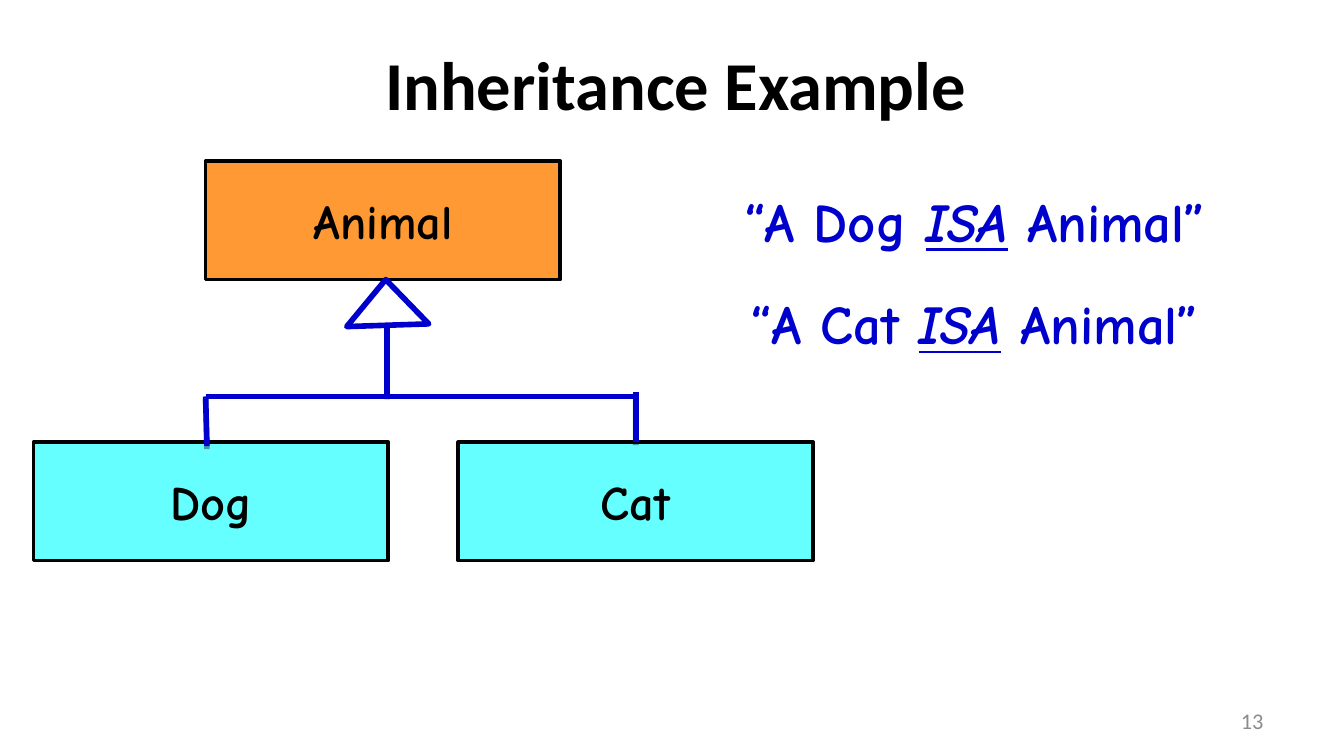
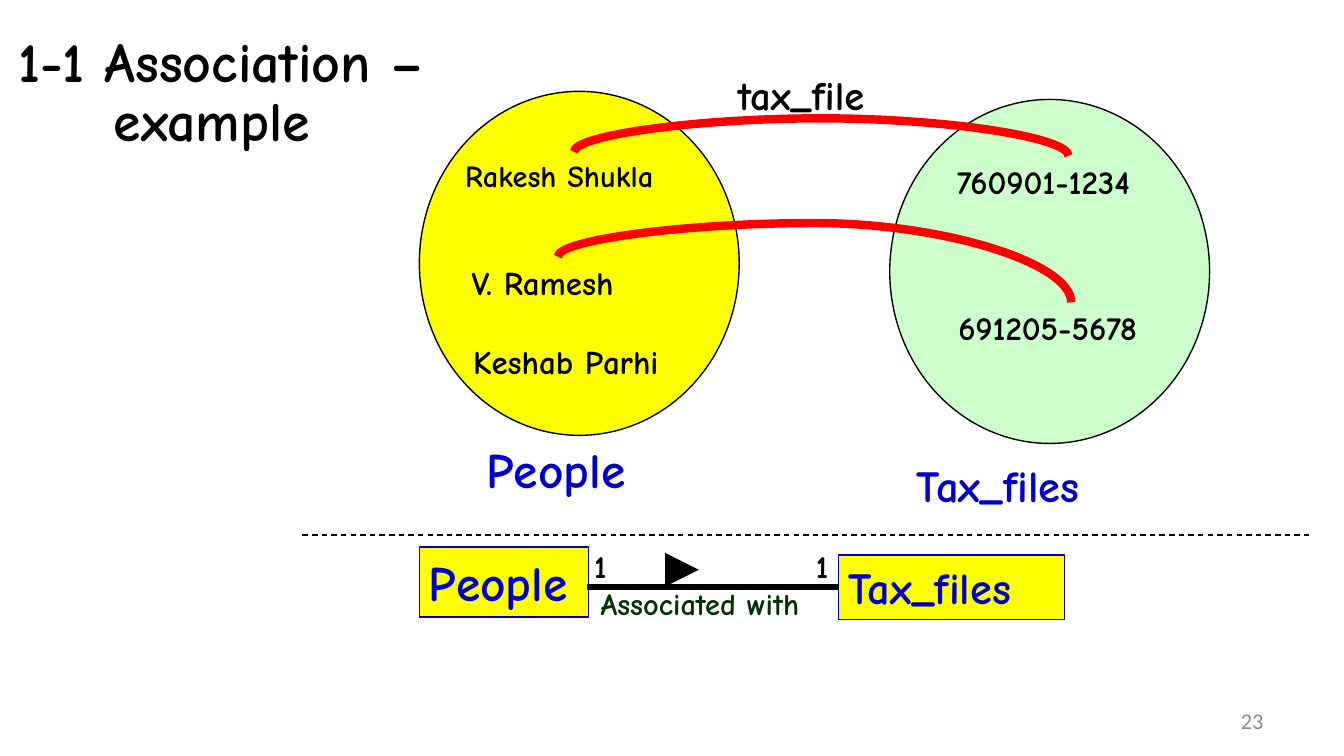
"""Build two class-modelling slides: inheritance and one-to-one association."""
import dataclasses
from typing import Any, Optional

import lxml.etree
import pptx
import pptx.dml.color
import pptx.enum.dml
import pptx.enum.shapes
import pptx.enum.text
import pptx.oxml.ns
import pptx.util

PX = 9144
SLIDE_WIDTH = 1000
COLORS = {
    "black": "000000",
    "blue": "0000CC",
    "orange": "FF9933",
    "cyan": "66FFFF",
    "yellow": "FFFF00",
    "mint": "CCFFCC",
    "red": "FF0000",
    "forest": "003300",
    "gray": "8C8C8C",
}
HAND, PLAIN = "Comic Neue", "Calibri"
TIGHT, ROOMY, FLUSH = (7, 4), (10, 5), (0, 0)
ALIGN = pptx.enum.text.PP_ALIGN
ANCHOR = pptx.enum.text.MSO_ANCHOR
SHAPE = pptx.enum.shapes.MSO_SHAPE
CONNECTOR = pptx.enum.shapes.MSO_CONNECTOR


@dataclasses.dataclass(frozen=True)
class Run:
    """A stretch of text, optionally stressed by italics and underline."""
    text: str
    stressed: bool = False


@dataclasses.dataclass(frozen=True)
class Wording:
    """One paragraph and the way it is set."""
    runs: tuple[Run, ...]
    size: float
    color: str = "black"
    font: str = HAND
    bold: bool = True
    align: Any = ALIGN.LEFT
    anchor: Any = ANCHOR.TOP
    inset: tuple[int, int] = TIGHT
    wrap: bool = False
    grow: bool = True
    spacing: Optional[float] = None


@dataclasses.dataclass(frozen=True)
class Box:
    """A place on the slide in px."""
    left: int
    top: int
    width: int
    height: int


@dataclasses.dataclass(frozen=True)
class Panel:
    """An outlined and filled preset shape."""
    box: Box
    fill: str
    outline: str = "black"
    weight: float = 0.75
    preset: Any = SHAPE.RECTANGLE
    wording: Optional[Wording] = None


@dataclasses.dataclass(frozen=True)
class Stroke:
    """A straight line between two points in px."""
    start: tuple[int, int]
    end: tuple[int, int]
    color: str
    weight: float
    dashed: bool = False
    shadow: bool = False
    arrow: bool = False


def px(length: float) -> int:
    """Turn px into EMU."""
    return round(length * PX)


def rgb(name: str) -> pptx.dml.color.RGBColor:
    """Look up a named colour."""
    return pptx.dml.color.RGBColor.from_string(COLORS[name])


def place(box: Box) -> tuple[int, ...]:
    """Give a box in EMU."""
    return tuple(px(length) for length in dataclasses.astuple(box))


def put(parent: Any, tag: str, **attributes: str) -> Any:
    """Append a drawing element."""
    return lxml.etree.SubElement(parent, pptx.oxml.ns.qn(tag), attributes)


def write(shape: Any, wording: Wording) -> None:
    """Set one paragraph in a shape."""
    frame = shape.text_frame
    frame.word_wrap = wording.wrap
    sizing = pptx.enum.text.MSO_AUTO_SIZE
    frame.auto_size = sizing.SHAPE_TO_FIT_TEXT if wording.grow else sizing.NONE
    frame.vertical_anchor = wording.anchor
    frame.margin_left = frame.margin_right = px(wording.inset[0])
    frame.margin_top = frame.margin_bottom = px(wording.inset[1])
    paragraph = frame.paragraphs[0]
    paragraph.alignment = wording.align
    if wording.spacing:
        paragraph.line_spacing = wording.spacing
    for part in wording.runs:
        run = paragraph.add_run()
        run.text = part.text
        run.font.name = wording.font
        run.font.size = pptx.util.Pt(wording.size)
        run.font.bold = wording.bold
        run.font.italic = run.font.underline = part.stressed
        run.font.color.rgb = rgb(wording.color)


def add_label(slide: Any, box: Box, wording: Wording) -> None:
    """Add a text box."""
    write(slide.shapes.add_textbox(*place(box)), wording)


def add_panel(slide: Any, panel: Panel) -> Any:
    """Add a filled shape with its optional wording."""
    shape = slide.shapes.add_shape(panel.preset, *place(panel.box))
    shape.shadow.inherit = False
    shape.fill.solid()
    shape.fill.fore_color.rgb = rgb(panel.fill)
    style_line(shape.line, panel.outline, panel.weight)
    if panel.wording:
        write(shape, panel.wording)
    return shape


def style_line(line: Any, color: str, weight: float) -> None:
    """Set the colour and weight of a line."""
    line.color.rgb = rgb(color)
    line.width = pptx.util.Pt(weight)


def add_stroke(slide: Any, stroke: Stroke) -> Any:
    """Add a straight connector."""
    ends = [px(value) for value in (*stroke.start, *stroke.end)]
    connector = slide.shapes.add_connector(CONNECTOR.STRAIGHT, *ends)
    style_line(connector.line, stroke.color, stroke.weight)
    if stroke.dashed:
        connector.line.dash_style = pptx.enum.dml.MSO_LINE.DASH
    properties = connector._element.spPr
    if stroke.arrow:
        put(properties.find(pptx.oxml.ns.qn("a:ln")), "a:tailEnd", type="triangle")
    effects = put(properties, "a:effectLst")
    if stroke.shadow:
        cast = put(effects, "a:outerShdw", dist="20320", dir="5400000", rotWithShape="0")
        tint = put(cast, "a:srgbClr", val=COLORS["black"])
        put(tint, "a:alpha", val="38000")
    return connector


def add_arc(slide: Any, start: tuple[int, int], end: tuple[int, int], rise: int = 25) -> None:
    """Add a curved link that rises above its start before reaching its end."""
    run, drop = end[0] - start[0], end[1] - start[1]
    middle_x, middle_y = (start[0] + end[0]) / 2, (start[1] + end[1]) / 2
    connector = slide.shapes.add_connector(
        CONNECTOR.CURVE,
        px(middle_x + drop / 2), px(middle_y - run / 2),
        px(middle_x - drop / 2), px(middle_y + run / 2),
    )
    style_line(connector.line, "red", 4.5)
    properties = connector._element.spPr
    properties.find(pptx.oxml.ns.qn("a:xfrm")).set("rot", "16200000")
    guides = properties.find(".//" + pptx.oxml.ns.qn("a:avLst"))
    put(guides, "a:gd", name="adj1", fmla=f"val {round(-100000 * rise / drop)}")
    put(properties, "a:effectLst")


def add_generalization(slide: Any, corners: list[tuple[int, int]]) -> None:
    """Add the hollow triangle that points at a superclass."""
    first, *others = [(px(x), px(y)) for x, y in corners]
    builder = slide.shapes.build_freeform(*first)
    builder.add_line_segments(others, close=True)
    triangle = builder.convert_to_shape()
    triangle.shadow.inherit = False
    triangle.fill.background()
    style_line(triangle.line, "blue", 3)


def start_slide(deck: Any, number: int, title_box: Box, title: Wording) -> Any:
    """Add a slide with its title and number."""
    slide = deck.slides.add_slide(deck.slide_layouts[6])
    add_label(slide, title_box, title)
    add_label(slide, Box(717, 521, 233, 30), Wording(
        (Run(str(number)),), 12, "gray", PLAIN, False, ALIGN.RIGHT,
        ANCHOR.MIDDLE, ROOMY, wrap=True, grow=False))
    return slide


def build_inheritance(deck: Any) -> None:
    """Draw the Animal hierarchy."""
    slide = start_slide(deck, 13, Box(183, 15, 640, 93), Wording(
        (Run("Inheritance Example"),), 36.7, font=PLAIN, align=ALIGN.CENTER,
        anchor=ANCHOR.MIDDLE, inset=ROOMY, wrap=True, grow=False))
    classes = {}
    for name, left, top, fill in (
        ("Animal", 153, 120, "orange"),
        ("Dog", 25, 329, "cyan"),
        ("Cat", 341, 329, "cyan"),
    ):
        wording = Wording((Run(name),), 25.9, align=ALIGN.CENTER,
                          anchor=ANCHOR.MIDDLE, wrap=True, grow=False)
        classes[name] = add_panel(
            slide, Panel(Box(left, top, 264, 88), fill, weight=2, wording=wording))
    add_stroke(slide, Stroke((288, 295), (288, 242), "blue", 3, shadow=True))
    add_generalization(slide, [(287, 208), (258, 243), (319, 241)])
    add_stroke(slide, Stroke((153, 295), (475, 295), "blue", 3))
    cat_branch = add_stroke(slide, Stroke((473, 329), (473, 292), "blue", 3, shadow=True))
    cat_branch.begin_connect(classes["Cat"], 0)
    add_stroke(slide, Stroke((154, 332), (153, 295), "blue", 3, shadow=True))
    for animal, top in (("Dog", 136), ("Cat", 212)):
        runs = (Run(f"“A {animal} "), Run("ISA", True), Run(" Animal”"))
        add_label(slide, Box(503, top, 444, 57),
                  Wording(runs, 29.3, "blue", align=ALIGN.CENTER, wrap=True))


def build_association(deck: Any) -> None:
    """Draw people linked to their tax files and the matching class diagram."""
    slide = start_slide(deck, 23, Box(-1, 40, 332, 60), Wording(
        (Run("1-1 Association – example "),), 29.9, align=ALIGN.CENTER,
        anchor=ANCHOR.MIDDLE, inset=FLUSH, wrap=True, grow=False, spacing=0.88))
    for left, top, fill in ((312, 68, "yellow"), (662, 74, "mint")):
        add_panel(slide, Panel(Box(left, top, 238, 256), fill, preset=SHAPE.OVAL))
    for text, size, box in (
        ("Rakesh Shukla", 16.3, Box(339, 113, 175, 35)),
        ("V. Ramesh", 17.7, Box(344, 191, 143, 37)),
        ("Keshab Parhi", 17.7, Box(345, 250, 181, 37)),
        ("760901-1234", 17.7, Box(705, 116, 181, 37)),
        ("691205-5678", 17.7, Box(706, 225, 181, 37)),
        ("tax_file", 21.8, Box(542, 48, 133, 44)),
    ):
        add_label(slide, box, Wording((Run(text),), size))
    add_arc(slide, (427, 113), (795, 116))
    add_arc(slide, (415, 191), (797, 225))
    classes = {}
    for name, size, width, height, set_corner, class_corner in (
        ("People", 26.5, 126, 52, (355, 323), (312, 407)),
        ("Tax_files", 23.8, 168, 48, (675, 337), (624, 413)),
    ):
        wording = Wording((Run(name),), size, "blue")
        add_label(slide, Box(*set_corner, width, height), wording)
        classes[name] = add_panel(slide, Panel(
            Box(*class_corner, width, height), "yellow", "blue", wording=wording))
    association = add_stroke(slide, Stroke((437, 437), (624, 437), "black", 3))
    association.end_connect(classes["Tax_files"], 1)
    add_stroke(slide, Stroke((225, 398), (975, 398), "black", 0.75, dashed=True))
    for left, width, wrap in ((442, 15, False), (607, 23, True)):
        add_label(slide, Box(left, 407, width, 29),
                  Wording((Run("1"),), 17, inset=FLUSH, wrap=wrap))
    add_label(slide, Box(437, 436, 187, 54), Wording(
        (Run("Associated with"),), 16.3, "forest", inset=ROOMY, wrap=True, spacing=0.8))
    add_stroke(slide, Stroke((516, 424), (520, 424), "black", 6, arrow=True))


def main() -> None:
    """Build and save the deck."""
    deck = pptx.Presentation()
    deck.slide_width = px(SLIDE_WIDTH)
    deck.slide_height = px(SLIDE_WIDTH * 9 / 16)
    build_inheritance(deck)
    build_association(deck)
    deck.save("out.pptx")


if __name__ == "__main__":
    main()
